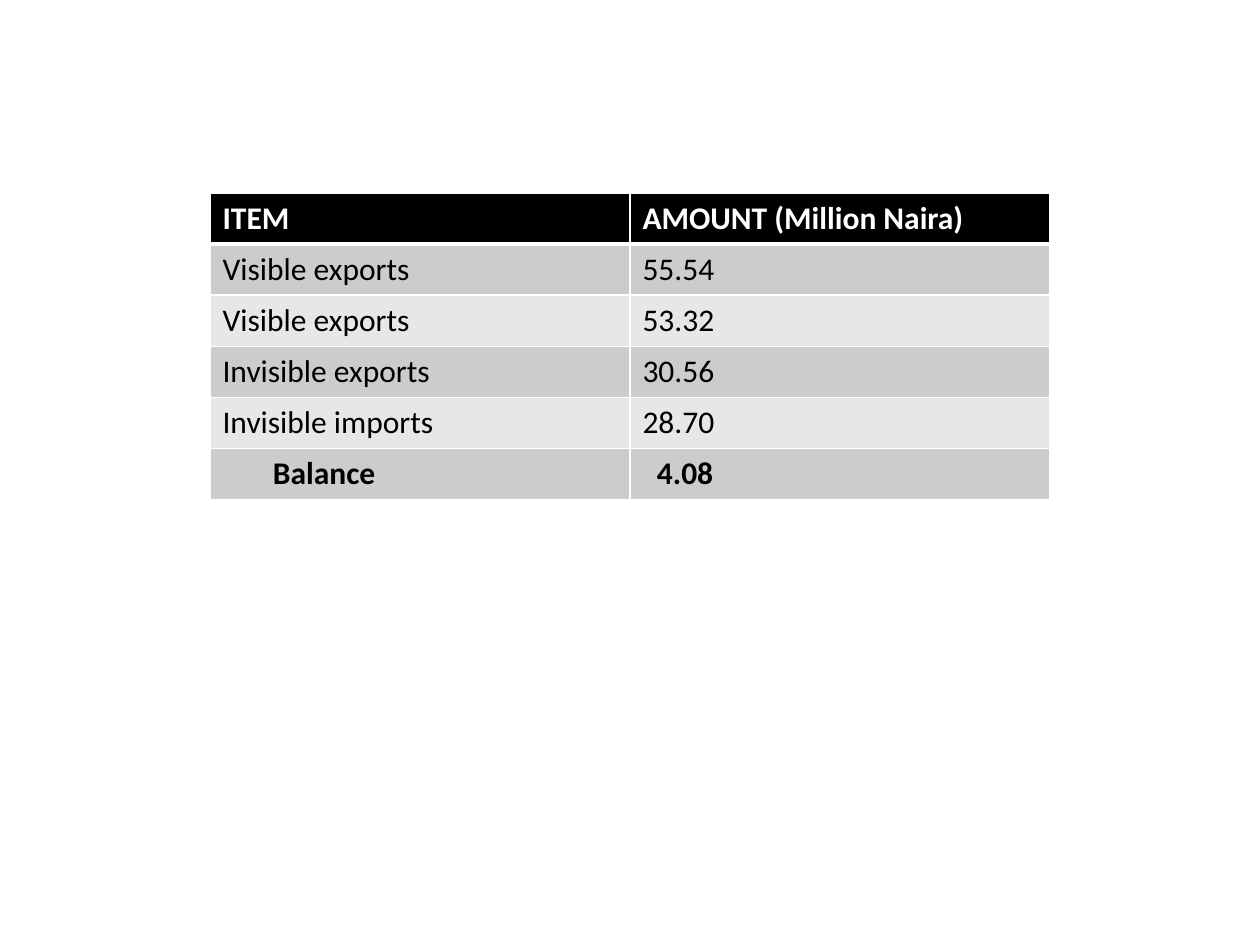
from lxml import etree
from pptx import Presentation
from pptx.dml.color import RGBColor
from pptx.enum.text import MSO_ANCHOR
from pptx.oxml.ns import qn
from pptx.util import Inches, Pt

ANCHOR_TOP = MSO_ANCHOR.TOP

WHITE = RGBColor(0xFF, 0xFF, 0xFF)
BLACK = RGBColor(0x00, 0x00, 0x00)
DARK_BAND = RGBColor(0xCC, 0xCC, 0xCC)
LIGHT_BAND = RGBColor(0xE7, 0xE7, 0xE7)

FONT = "Calibri"
PX_PER_INCH = 126
SLIDE_WIDTH, SLIDE_HEIGHT = 1260, 945

TRADE_ROWS = [
    ("ITEM", "AMOUNT (Million Naira)"),
    ("Visible exports", "55.54"),
    ("Visible exports", "53.32"),
    ("Invisible exports", "30.56"),
    ("Invisible imports", "28.70"),
    ("Balance", "4.08"),
]
BALANCE_INSETS = (63, 27)


def px(length):
    return round(length * Inches(1) / PX_PER_INCH)


def set_borders(cell, widths):
    properties = cell._tc.get_or_add_tcPr()
    for position, (side, width) in enumerate(widths.items()):
        border = etree.Element(qn(f"a:{side}"), w=str(Pt(width)))
        fill = etree.SubElement(border, qn("a:solidFill"))
        etree.SubElement(fill, qn("a:srgbClr"), val=str(WHITE))
        properties.insert(position, border)


def style_cell(cell, text, fill, color, bold):
    cell.text = text
    cell.vertical_anchor = ANCHOR_TOP
    cell.fill.solid()
    cell.fill.fore_color.rgb = fill
    font = cell.text_frame.paragraphs[0].font
    font.name = FONT
    font.size = Pt(18)
    font.bold = bold
    font.color.rgb = color


def add_balance_table(slide, left, top, width, height):
    row_count, column_count = len(TRADE_ROWS), len(TRADE_ROWS[0])
    table = slide.shapes.add_table(
        row_count, column_count, px(left), px(top), px(width), px(height)
    ).table
    for column in table.columns:
        column.width = px(width / column_count)
    for row in table.rows:
        row.height = px(height / row_count)

    for r, entries in enumerate(TRADE_ROWS):
        is_header, is_balance = r == 0, r == row_count - 1
        band = DARK_BAND if r % 2 else LIGHT_BAND
        borders = {
            "lnL": 1,
            "lnR": 1,
            "lnT": 3 if r == 1 else 1,
            "lnB": 3 if is_header else 1,
        }
        for c, text in enumerate(entries):
            cell = table.cell(r, c)
            style_cell(
                cell,
                text,
                BLACK if is_header else band,
                WHITE if is_header else BLACK,
                is_header or is_balance,
            )
            set_borders(cell, borders)
            if is_balance:
                cell.margin_left = px(BALANCE_INSETS[c])


def main():
    presentation = Presentation()
    presentation.slide_width = px(SLIDE_WIDTH)
    presentation.slide_height = px(SLIDE_HEIGHT)
    slide = presentation.slides.add_slide(presentation.slide_layouts[6])
    add_balance_table(slide, 210, 193, 840, 306)
    presentation.save("out.pptx")


if __name__ == "__main__":
    main()
